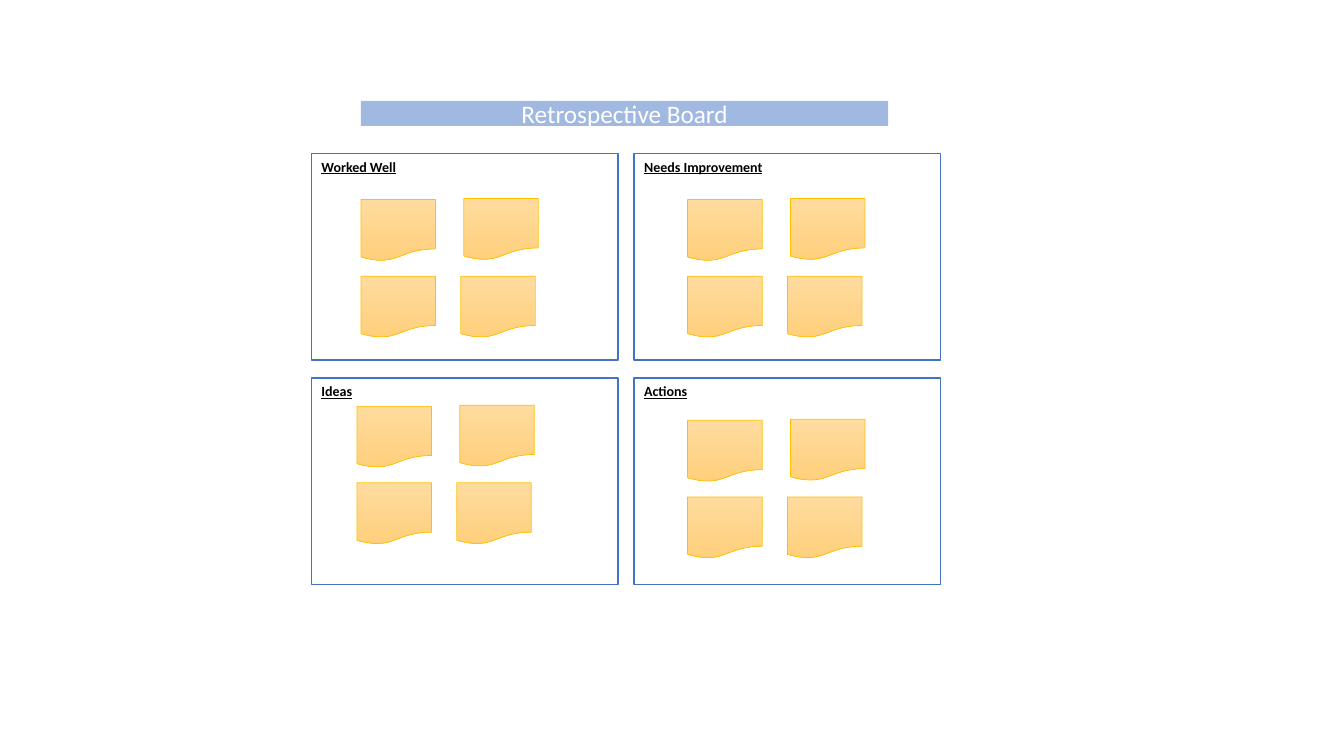
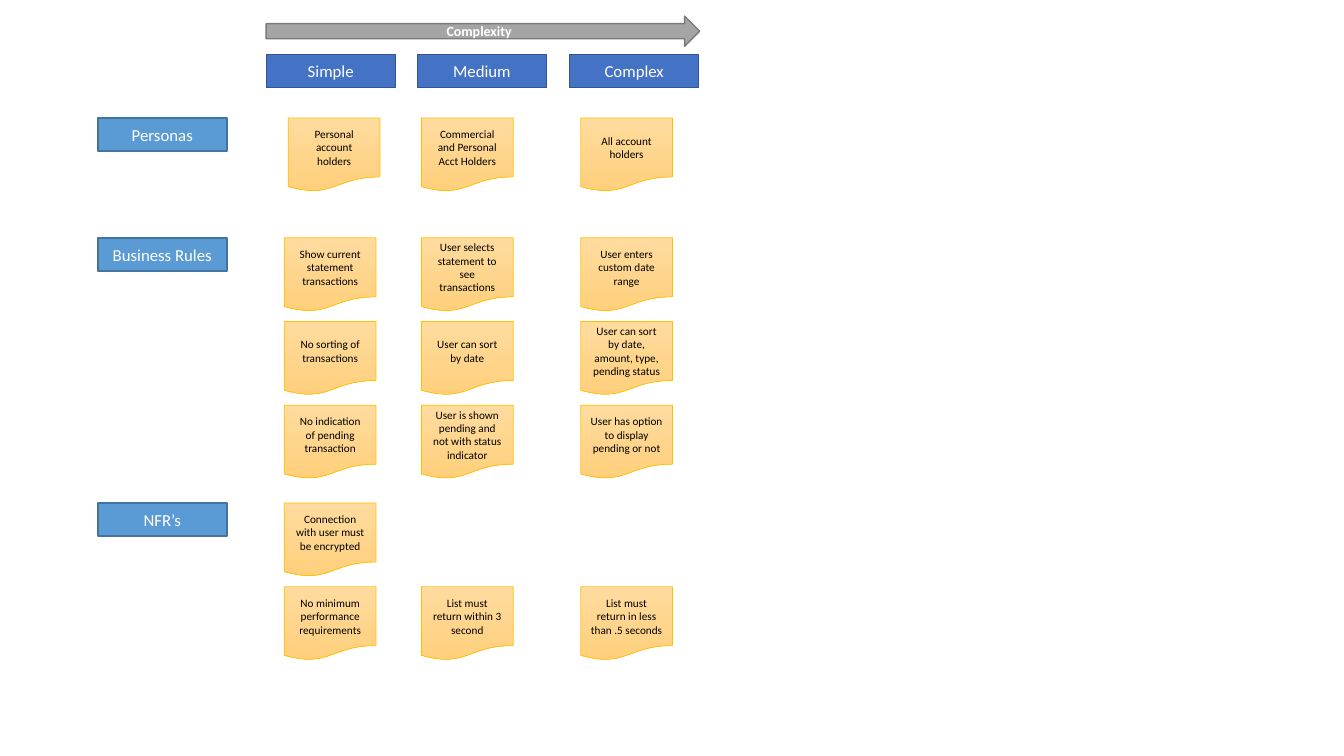
from pptx import Presentation
from pptx.dml.color import RGBColor
from pptx.enum.shapes import MSO_SHAPE
from pptx.enum.text import MSO_ANCHOR, MSO_AUTO_SIZE, PP_ALIGN
from pptx.oxml.ns import qn
from pptx.util import Inches, Pt
from lxml.etree import SubElement

# Shared style
FONT = "Calibri"
BLACK = RGBColor(0x00, 0x00, 0x00)
WHITE = RGBColor(0xFF, 0xFF, 0xFF)
BLUE = RGBColor(0x44, 0x72, 0xC4)
NAVY = RGBColor(0x32, 0x54, 0x91)
SKY = RGBColor(0x5B, 0x9B, 0xD5)
STEEL = RGBColor(0x43, 0x73, 0x9E)
GRAY = RGBColor(0xA5, 0xA5, 0xA5)
DARK = RGBColor(0x7A, 0x7A, 0x7A)
GOLD = RGBColor(0xFF, 0xC0, 0x00)
PALE = RGBColor(0xFF, 0xDB, 0x9E)
AMBER = RGBColor(0xFF, 0xD0, 0x7C)

# Retrospective board: name, panel corner, corner of its notes
TITLE = "Retrospective Board"
PANELS = [
    ("Worked Well", (3.09, 1.52), (3.58, 1.97)),
    ("Needs Improvement", (6.29, 1.52), (6.82, 1.97)),
    ("Ideas", (3.09, 3.75), (3.54, 4.02)),
    ("Actions", (6.29, 3.75), (6.82, 4.16)),
]
SPOTS = [(0, 0.01), (1.02, 0), (0.99, 0.77), (0, 0.77)]

# Complexity map: columns are (name, header left, notes left)
AXIS = "Complexity"
COLS = [("Simple", 2.64, 2.82), ("Medium", 4.14, 4.18), ("Complex", 5.65, 5.76)]
GROUPS = [
    ("Personas", 1.17, [
        ("Personal account holders", "Commercial and Personal Acct Holders",
         "All account holders"),
    ]),
    ("Business Rules", 2.36, [
        ("Show current statement transactions",
         "User selects statement to see transactions",
         "User enters custom date range"),
        ("No sorting of transactions", "User can sort by date",
         "User can sort by date, amount, type, pending status"),
        ("No indication of pending transaction",
         "User is shown pending and not with status indicator",
         "User has option to display pending or not"),
    ]),
    ("NFR’s", 4.99, [
        ("Connection with user must be encrypted", None, None),
        ("No minimum performance requirements",
         "List must return within 3 second",
         "List must return in less than .5 seconds"),
    ]),
]
STEP = 0.83
NUDGE = {"Personal account holders": 0.04}


def write(shape, text, size, color=WHITE, bold=False):
    frame = shape.text_frame
    frame.text = text
    frame.word_wrap = True
    frame.vertical_anchor = MSO_ANCHOR.MIDDLE
    para = frame.paragraphs[0]
    para.alignment = PP_ALIGN.CENTER
    font = para.font
    font.name, font.size, font.bold = FONT, Pt(size), bold
    font.color.rgb = color
    return frame


def place(slide, kind, left, top, wide, high, edge, weight=1, fill=None):
    shape = slide.shapes.add_shape(
        kind, Inches(left), Inches(top), Inches(wide), Inches(high))
    shape.shadow.inherit = False
    shape.line.color.rgb = edge
    shape.line.width = Pt(weight)
    if fill is not None:
        shape.fill.solid()
        shape.fill.fore_color.rgb = fill
    return shape


def add_note(slide, left, top, wide, high, text=None):
    note = place(slide, MSO_SHAPE.FLOWCHART_DOCUMENT, left, top, wide, high,
                 GOLD, 0.5)
    note.fill.gradient()
    note.fill.gradient_angle = 270
    for stop, color in zip(note.fill.gradient_stops, (PALE, AMBER)):
        stop.color.rgb = color
    if text:
        write(note, text, 8, BLACK)


def add_label(slide, left, top, text, fill, edge):
    box = place(slide, MSO_SHAPE.RECTANGLE, left, top, 1.28, 0.33, edge, 1, fill)
    write(box, text, 12)


def build_board(deck):
    slide = deck.slides.add_slide(deck.slide_layouts[5])

    # Title band, half transparent
    title = slide.shapes.title
    title.left, title.top = Inches(3.58), Inches(1)
    title.width, title.height = Inches(5.23), Inches(0.25)
    title.fill.solid()
    title.fill.fore_color.rgb = BLUE
    tint = title.fill._xPr.find(".//" + qn("a:srgbClr"))
    SubElement(tint, qn("a:alpha"), val="50000")
    write(title, TITLE, 18).auto_size = MSO_AUTO_SIZE.NONE

    # Panels with four notes each
    for name, (left, top), (x, y) in PANELS:
        panel = place(slide, MSO_SHAPE.RECTANGLE, left, top, 3.04, 2.05,
                      BLUE, 1, WHITE)
        frame = write(panel, name, 10, BLACK, True)
        frame.vertical_anchor = MSO_ANCHOR.TOP
        para = frame.paragraphs[0]
        para.alignment = PP_ALIGN.LEFT
        para.font.underline = True
        for dx, dy in SPOTS:
            add_note(slide, x + dx, y + dy, 0.74, 0.61)


def build_map(deck):
    slide = deck.slides.add_slide(deck.slide_layouts[6])

    # Arrow and column headers
    arrow = place(slide, MSO_SHAPE.RIGHT_ARROW, 2.64, 0.16, 4.3, 0.3,
                  DARK, 1, GRAY)
    write(arrow, AXIS, 10, bold=True)
    for name, left, _ in COLS:
        add_label(slide, left, 0.54, name, BLUE, NAVY)

    # Row labels and notes
    for name, top, rows in GROUPS:
        add_label(slide, 0.97, top, name, SKY, STEEL)
        for i, row in enumerate(rows):
            for text, (_, _, left) in zip(row, COLS):
                if text:
                    add_note(slide, left + NUDGE.get(text, 0), top + i * STEP,
                             0.91, 0.73, text)


def main():
    deck = Presentation()
    deck.slide_width, deck.slide_height = Inches(13.33), Inches(7.5)
    build_board(deck)
    build_map(deck)
    deck.save("out.pptx")


if __name__ == "__main__":
    main()
